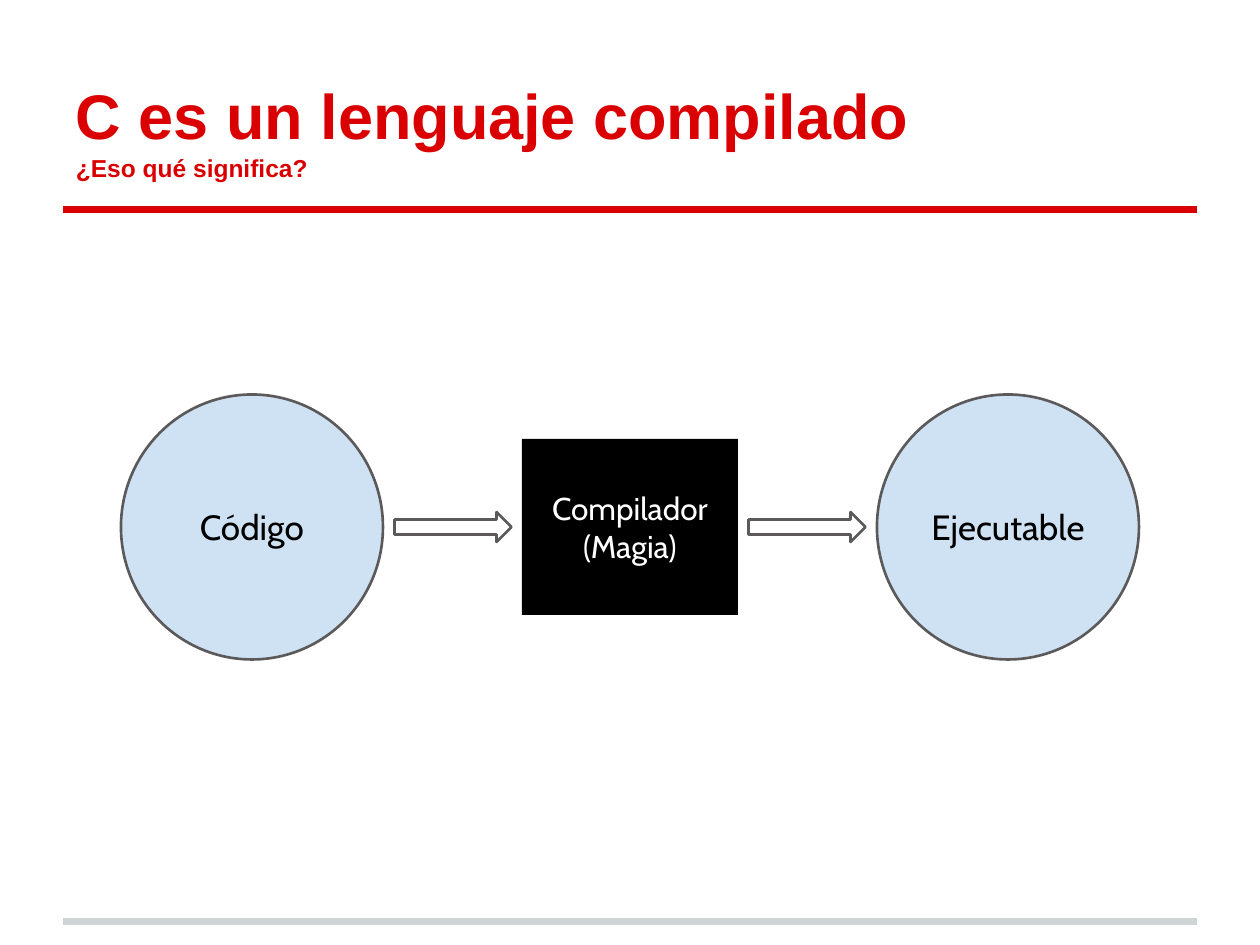
"""Build a slide showing how a compiler turns code into an executable."""
from dataclasses import dataclass

from lxml import etree
from pptx import Presentation
from pptx import util as u
from pptx.dml.color import RGBColor
from pptx.enum import shapes, text
from pptx.oxml.ns import qn

SCALE = u.Inches(1) / 126
SLIDE_WIDTH, SLIDE_HEIGHT = 1260, 945
CENTER_X, CENTER_Y = SLIDE_WIDTH // 2, 527


def px(length):
    return u.Emu(round(length * SCALE))


def set_all(target, values):
    for name, value in values.items():
        setattr(target, name, value)


@dataclass(frozen=True)
class Theme:
    red: str = "DA0002"
    footer: str = "CFD4D4"
    outline: str = "5B595A"
    light_blue: str = "CFE2F3"
    black: str = "000000"
    white: str = "FFFFFF"
    title_font: str = "Arial"
    body_font: str = "Cabin"
    title_size: int = 36
    subtitle_size: int = 14
    circle_size: int = 20
    box_size: int = 18
    rule_width: int = 4
    outline_width: float = 1.5


class Canvas:
    def __init__(self, slide, theme):
        self.slide = slide
        self.theme = theme

    def label(self, shape, lines, font, color, bold=False, align="CENTER", anchor="MIDDLE"):
        frame = shape.text_frame
        sides = ("left", "top", "right", "bottom")
        set_all(frame, {f"margin_{side}": px(13) for side in sides})
        set_all(frame, {
            "word_wrap": True,
            "vertical_anchor": text.MSO_ANCHOR[anchor],
        })
        paragraph = frame.paragraphs[0]
        paragraph.alignment = text.PP_ALIGN[align]
        for index, (words, size) in enumerate(lines):
            if index:
                paragraph.add_line_break()
            run = paragraph.add_run()
            run.text = words
            set_all(run.font, {"name": font, "size": u.Pt(size), "bold": bold})
            run.font.color.rgb = RGBColor.from_string(color)

    def rule(self, y, color):
        line = self.slide.shapes.add_connector(
            shapes.MSO_CONNECTOR.STRAIGHT, px(63), px(y), px(SLIDE_WIDTH - 63), px(y))
        line.line.color.rgb = RGBColor.from_string(color)
        line.line.width = u.Pt(self.theme.rule_width)
        etree.SubElement(line._element.spPr, qn("a:effectLst"))

    def title(self, left, top, width, height, lines):
        box = self.slide.shapes.add_textbox(px(left), px(top), px(width), px(height))
        self.label(box, lines, self.theme.title_font, self.theme.red,
                   bold=True, align="LEFT", anchor="BOTTOM")

    def centered(self, kind, offset, width, height, fill, outline=None):
        shape = self.slide.shapes.add_shape(
            kind, px(CENTER_X + offset - width / 2), px(CENTER_Y - height / 2),
            px(width), px(height))
        shape.shadow.inherit = False
        shape.fill.solid()
        shape.fill.fore_color.rgb = RGBColor.from_string(fill)
        if outline:
            shape.line.color.rgb = RGBColor.from_string(outline)
            shape.line.width = u.Pt(self.theme.outline_width)
        else:
            shape.line.fill.background()
        return shape

    def arrow(self, offset):
        self.centered(shapes.MSO_SHAPE.RIGHT_ARROW, offset, 117, 30,
                      self.theme.white, self.theme.outline)

    def box(self, lines):
        shape = self.centered(shapes.MSO_SHAPE.RECTANGLE, 0, 216, 176, self.theme.black)
        self.label(shape, [(line, self.theme.box_size) for line in lines],
                   self.theme.body_font, self.theme.white)

    def circle(self, offset, words):
        shape = self.centered(shapes.MSO_SHAPE.OVAL, offset, 262, 265,
                              self.theme.light_blue, self.theme.outline)
        self.label(shape, [(words, self.theme.circle_size)],
                   self.theme.body_font, self.theme.black)


def main():
    theme = Theme()
    presentation = Presentation()
    set_all(presentation, {"slide_width": px(SLIDE_WIDTH), "slide_height": px(SLIDE_HEIGHT)})
    slide = presentation.slides.add_slide(presentation.slide_layouts[6])
    canvas = Canvas(slide, theme)

    canvas.rule(922, theme.footer)
    canvas.rule(210, theme.red)
    canvas.title(63, 38, 1134, 157, [
        ("C es un lenguaje compilado", theme.title_size),
        ("¿Eso qué significa?", theme.subtitle_size),
    ])
    for offset in (-177, 177):
        canvas.arrow(offset)
    canvas.box(["Compilador", "(Magia)"])
    for offset, words in ((378, "Ejecutable"), (-378, "Código")):
        canvas.circle(offset, words)

    presentation.save("out.pptx")


if __name__ == "__main__":
    main()
